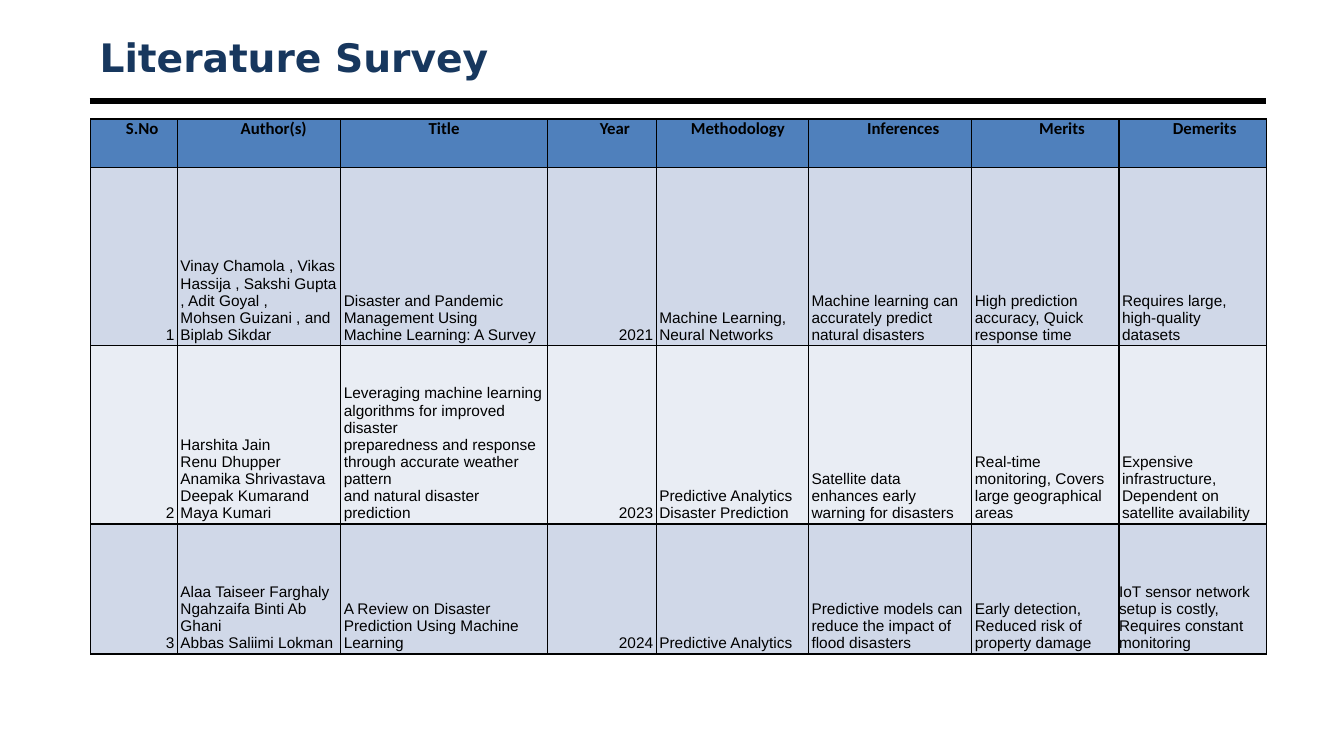
from pptx import Presentation
from pptx.dml.color import RGBColor
from pptx.enum.shapes import MSO_CONNECTOR
from pptx.enum.text import MSO_ANCHOR, PP_ALIGN
from pptx.oxml.ns import qn
from pptx.util import Inches, Pt
from lxml import etree

LINE = MSO_CONNECTOR.STRAIGHT
TOP, MIDDLE, BOTTOM = MSO_ANCHOR.TOP, MSO_ANCHOR.MIDDLE, MSO_ANCHOR.BOTTOM
LEFT, CENTER, RIGHT = PP_ALIGN.LEFT, PP_ALIGN.CENTER, PP_ALIGN.RIGHT

BLACK = RGBColor(0x00, 0x00, 0x00)
NAVY = RGBColor(0x17, 0x37, 0x5E)
HEADER_BLUE = RGBColor(0x4F, 0x80, 0xBC)
BAND_DARK = RGBColor(0xD0, 0xD8, 0xE8)
BAND_LIGHT = RGBColor(0xE9, 0xED, 0xF4)

COL_WIDTHS = [0.86, 1.62, 2.05, 1.08, 1.51, 1.62, 1.46, 1.46]
ROW_HEIGHTS = [0.48, 1.77, 1.77, 1.29]
NUMBER_COLS = (0, 3)
HEADERS = ["S.No", "Author(s)", "Title", "Year",
           "Methodology", "Inferences", "Merits", "Demerits"]
HEADER_INDENTS = [0.16, 0.29, 0, 0.26, 0.11, 0.26, 0.33, 0.24]
PAPERS = [
    ["1",
     "Vinay Chamola , Vikas Hassija , Sakshi Gupta , Adit Goyal ,\n"
     "Mohsen Guizani , and Biplab Sikdar",
     "Disaster and Pandemic Management Using\nMachine Learning: A Survey",
     "2021",
     "Machine Learning, Neural Networks",
     "Machine learning can accurately predict natural disasters",
     "High prediction accuracy, Quick response time",
     "Requires large, high-quality datasets"],
    ["2",
     "Harshita Jain\nRenu Dhupper\nAnamika Shrivastava\n"
     "Deepak Kumarand Maya Kumari",
     "Leveraging machine learning\nalgorithms for improved disaster\n"
     "preparedness and response\nthrough accurate weather pattern\n"
     "and natural disaster prediction",
     "2023",
     "Predictive Analytics\nDisaster Prediction",
     "Satellite data enhances early warning for disasters",
     "Real-time monitoring, Covers large geographical areas",
     "Expensive infrastructure, Dependent on satellite availability"],
    ["3",
     "Alaa Taiseer Farghaly\nNgahzaifa Binti Ab Ghani\nAbbas Saliimi Lokman",
     "A Review on Disaster Prediction Using Machine Learning",
     "2024",
     "Predictive Analytics",
     "Predictive models can reduce the impact of flood disasters",
     "Early detection, Reduced risk of property damage",
     "IoT sensor network setup is costly, Requires constant monitoring"],
]


class SlideBuilder:
    def __init__(self, prs):
        self.s = prs.slides.add_slide(prs.slide_layouts[6])

    def style(self, tf, font, size, color, bold=False, align=LEFT, indent=0):
        for p in tf.paragraphs:
            p.alignment = align
            if indent:
                p._p.get_or_add_pPr().set("marL", str(Inches(indent)))
            for r in p.runs:
                r.font.name, r.font.size, r.font.bold = font, Pt(size), bold
                r.font.color.rgb = color

    def title(self, text, x, y, w, h):
        tf = self.s.shapes.add_textbox(
            Inches(x), Inches(y), Inches(w), Inches(h)).text_frame
        tf.word_wrap = True
        tf.vertical_anchor = MIDDLE
        tf.text = text
        self.style(tf, "DejaVu Sans", 28, NAVY, bold=True)

    def rule(self, x1, x2, y, width):
        c = self.s.shapes.add_connector(
            LINE, Inches(x1), Inches(y), Inches(x2), Inches(y))
        c.line.color.rgb = BLACK
        c.line.width = Pt(width)
        etree.SubElement(c._element.spPr, qn("a:effectLst"))

    def table(self, x, y, widths, heights):
        table = self.s.shapes.add_table(
            len(heights), len(widths), Inches(x), Inches(y),
            Inches(sum(widths)), Inches(sum(heights))).table
        for col, w in zip(table.columns, widths):
            col.width = Inches(w)
        for row, h in zip(table.rows, heights):
            row.height = Inches(h)
        return table

    def cell(self, cell, text, fill, anchor, side, edge, **style):
        cell.text = text
        cell.vertical_anchor = anchor
        cell.margin_left = cell.margin_right = Inches(side)
        cell.margin_top = cell.margin_bottom = Inches(edge)
        self.style(cell.text_frame, color=BLACK, **style)
        self.borders(cell)
        cell.fill.solid()
        cell.fill.fore_color.rgb = fill

    def borders(self, cell):
        tcPr = cell._tc.get_or_add_tcPr()
        for tag in ("a:lnL", "a:lnR", "a:lnT", "a:lnB"):
            ln = etree.SubElement(tcPr, qn(tag), w=str(Pt(1)))
            solid = etree.SubElement(ln, qn("a:solidFill"))
            etree.SubElement(solid, qn("a:srgbClr"), val=str(BLACK))


def main():
    prs = Presentation()
    prs.slide_width, prs.slide_height = Inches(13.33), Inches(7.5)
    slide = SlideBuilder(prs)

    # Heading
    slide.rule(0.89, 12.56, 1, 4.5)
    slide.title("Literature Survey", 0.89, 0.3, 11.67, 0.53)

    # Survey table: header row
    table = slide.table(0.9, 1.18, COL_WIDTHS, ROW_HEIGHTS)
    for j, (text, indent) in enumerate(zip(HEADERS, HEADER_INDENTS)):
        slide.cell(table.cell(0, j), text, HEADER_BLUE, TOP, 0, 0,
                   font="Calibri", size=12, bold=True, align=CENTER,
                   indent=indent)

    # Survey table: one banded row per paper
    for i, paper in enumerate(PAPERS, start=1):
        fill = BAND_DARK if i % 2 else BAND_LIGHT
        for j, text in enumerate(paper):
            is_last = i == len(PAPERS) and j == len(paper) - 1
            slide.cell(table.cell(i, j), text, fill, BOTTOM,
                       0 if is_last else 0.03, 0.02, font="Arial", size=11,
                       align=RIGHT if j in NUMBER_COLS else LEFT)

    prs.save("out.pptx")


if __name__ == "__main__":
    main()
